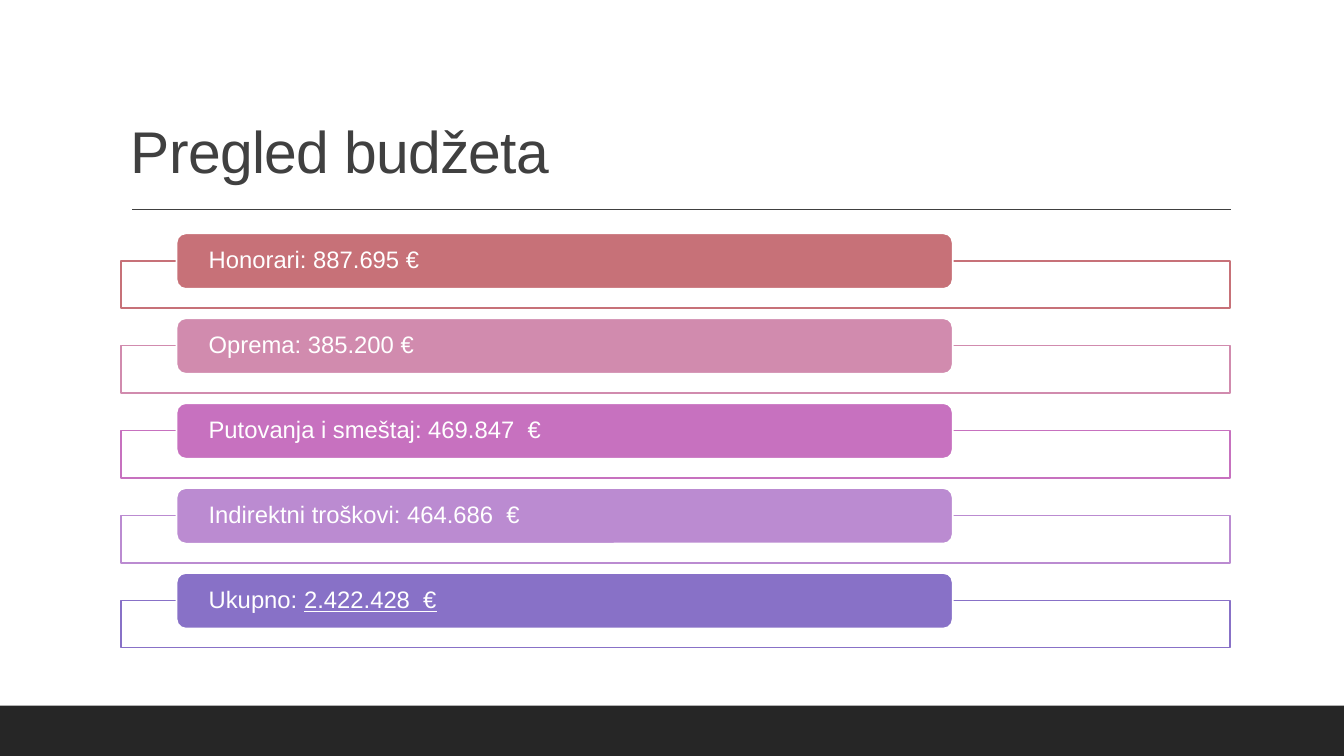
from lxml.etree import SubElement
from pptx import Presentation
from pptx.dml.color import RGBColor
from pptx.enum.shapes import MSO_CONNECTOR as CONNECTOR, MSO_SHAPE as SHAPE
from pptx.enum.text import MSO_ANCHOR as ANCHOR, PP_ALIGN as ALIGN
from pptx.oxml.ns import qn
from pptx.util import Cm, Pt

DARK, GREY, WHITE = "262626", "404040", "FFFFFF"
ROW_TOP, ROW_PITCH = 5.88, 2.14
BUDGET = [
    ("Honorari: ", "887.695 €", "C77178"),
    ("Oprema: ", "385.200 €", "D18BAE"),
    ("Putovanja i smeštaj: ", "469.847  €", "C771BF"),
    ("Indirektni troškovi: ", "464.686  €", "BB8BD1"),
    ("Ukupno: ", "2.422.428  €", "8871C7"),
]


def rgb(value):
    return RGBColor.from_string(value)


def add_run(p, text, size=17, color=WHITE, underline=None, spacing=None):
    r = p.add_run()
    r.text = text
    r.font.name = "Arial"
    r.font.size = Pt(size)
    r.font.color.rgb = rgb(color)
    r.font.underline = underline
    if spacing is not None:
        r._r.get_or_add_rPr().set("spc", str(round(spacing * 100)))


def add_box(s, kind, left, top, width, height, fill, line=None):
    sp = s.shapes.add_shape(kind, Cm(left), Cm(top), Cm(width), Cm(height))
    sp.shadow.inherit = False
    sp.fill.solid()
    sp.fill.fore_color.rgb = rgb(fill)
    if line:
        sp.line.color.rgb = rgb(line)
        sp.line.width = Pt(1.25)
    else:
        sp.line.fill.background()
    return sp


def set_frame(tf, anchor):
    tf.word_wrap = True
    tf.vertical_anchor = anchor
    p = tf.paragraphs[0]
    p.alignment = ALIGN.LEFT
    p.line_spacing = 0.9
    return p


def add_title(s, text):
    tf = s.shapes.add_textbox(Cm(3.05), Cm(0.79), Cm(27.94), Cm(4.04)).text_frame
    add_run(set_frame(tf, ANCHOR.BOTTOM), text, size=42, color=GREY, spacing=-0.5)


def add_rule(s, left, right, top):
    line = s.shapes.add_connector(CONNECTOR.STRAIGHT, Cm(left), Cm(top), Cm(right), Cm(top))
    line.line.color.rgb = rgb(GREY)
    line.line.width = Pt(1)
    SubElement(line._element.spPr, qn("a:effectLst"))


def add_budget_row(s, top, label, amount, color, total):
    add_box(s, SHAPE.RECTANGLE, 3.05, top + 0.69, 27.94, 1.19, WHITE, color)
    sp = add_box(s, SHAPE.ROUNDED_RECTANGLE, 4.45, top, 19.56, 1.4, color, WHITE)
    tf = sp.text_frame
    tf.margin_left = tf.margin_right = Cm(0.74)
    tf.margin_top = tf.margin_bottom = 0
    p = set_frame(tf, ANCHOR.MIDDLE)
    add_run(p, label)
    add_run(p, amount, underline=total or None)


def main():
    prs = Presentation()
    prs.slide_width, prs.slide_height = Cm(33.87), Cm(19.05)
    s = prs.slides.add_slide(prs.slide_layouts[6])
    add_box(s, SHAPE.RECTANGLE, 0, 17.78, 33.87, 1.27, DARK)
    add_rule(s, 3.33, 31.01, 5.28)
    add_title(s, "Pregled budžeta")
    for i, (label, amount, color) in enumerate(BUDGET):
        total = i == len(BUDGET) - 1
        add_budget_row(s, ROW_TOP + i * ROW_PITCH, label, amount, color, total)
    prs.save("out.pptx")


if __name__ == "__main__":
    main()
